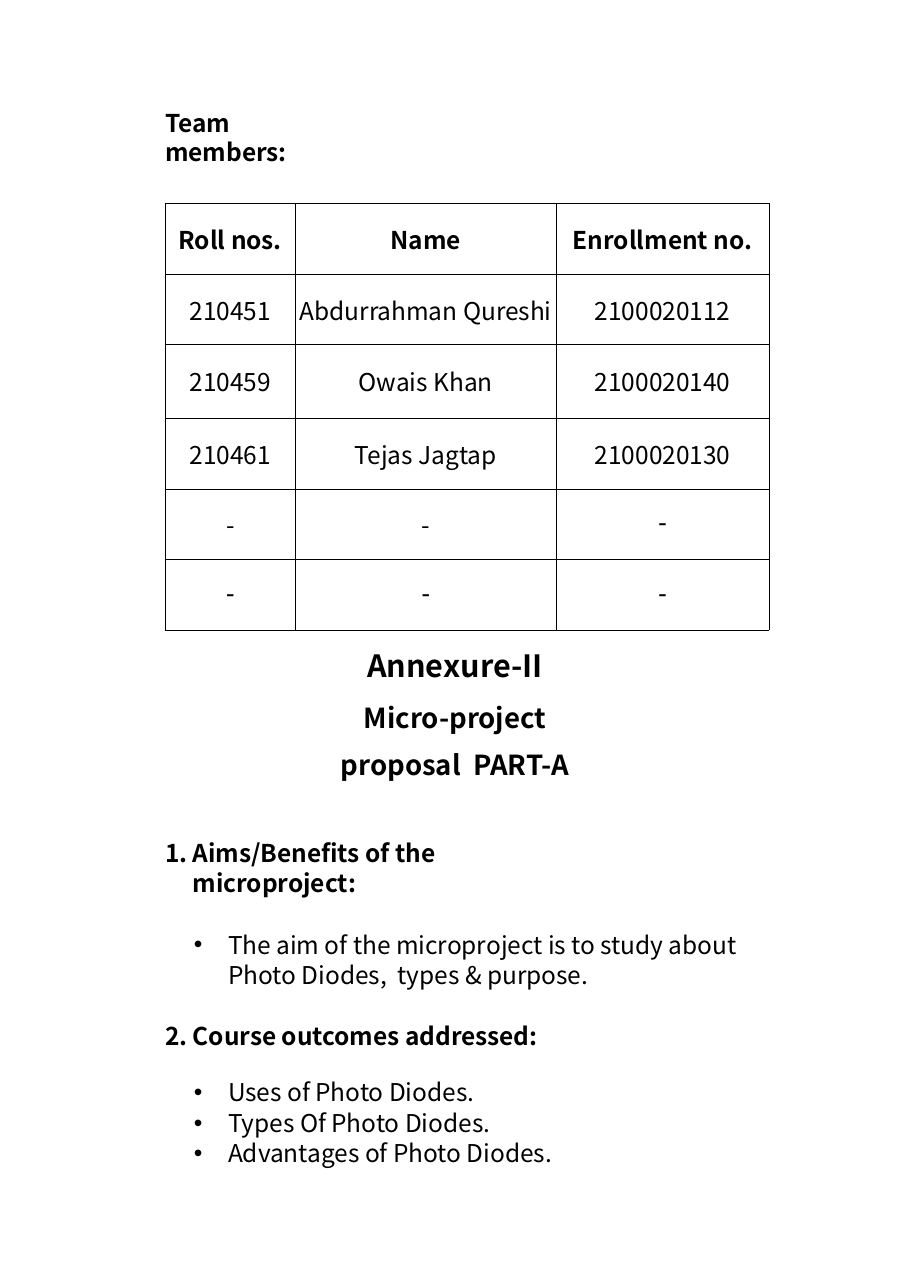
from lxml.etree import SubElement
from pptx import Presentation
from pptx.dml.color import RGBColor
from pptx.enum.text import MSO_ANCHOR, MSO_AUTO_SIZE, PP_ALIGN
from pptx.oxml.ns import qn
from pptx.util import Inches, Pt

FONT = "Noto Sans CJK TC"
BLACK = "000000"
COLUMN_WIDTHS = [1.18, 2.37, 1.93]
ROW_HEIGHTS = [0.64, 0.64, 0.67, 0.64, 0.64, 0.64]
MEMBERS = [
    ["Roll nos.", "Name", "Enrollment no."],
    ["210451", "Abdurrahman Qureshi", "2100020112"],
    ["210459", "Owais Khan", "2100020140"],
    ["210461", "Tejas Jagtap", "2100020130"],
    ["-", "-", "-"],
    ["-", "-", "-"],
]
HEADING = dict(bold=True, left=0.26, hang=0.25, right=1.9)
BULLET = dict(left=0.58, hang=0.31, bullet="•")
PROPOSAL = [
    ("Annexure-II", dict(size=20, bold=True, align=PP_ALIGN.CENTER,
                         right=0.33, before=10.8)),
    ("Micro-project proposal  PART-A",
     dict(size=18, bold=True, align=PP_ALIGN.CENTER, left=1.49, right=1.82,
          line=Pt(30.5), before=2.4)),
    ("Aims/Benefits of the microproject:", dict(HEADING, number=1, before=37.7)),
    ("The aim of the microproject is to study about Photo Diodes,  types & purpose.",
     dict(BULLET, line=1.04, before=20.6)),
    ("Course outcomes addressed:", dict(HEADING, number=2, before=20.6)),
    ("Uses of Photo Diodes.", dict(BULLET, level=1, line=1.03, before=17.1)),
    ("Types Of Photo Diodes.", dict(BULLET, level=1, before=0.8)),
    ("Advantages of Photo Diodes.", dict(BULLET, level=1, before=0.6)),
]


def color(value):
    return RGBColor.from_string(value)


def write(para, text, size=16, bold=False, font=FONT, align=PP_ALIGN.LEFT,
          before=0, line=1.0, level=0):
    para.text = text
    para.level = level
    para.alignment = align
    para.space_before = Pt(before)
    para.space_after = Pt(0)
    para.line_spacing = line
    for span in para.runs:
        span.font.size = Pt(size)
        span.font.bold = bold
        span.font.name = font
        span.font.color.rgb = color(BLACK)


def indent(para, left=0, hang=0, right=0, bullet=None, number=None):
    props = para._p.get_or_add_pPr()
    props.set("marL", str(Inches(left)))
    props.set("marR", str(Inches(right)))
    props.set("indent", str(Inches(-hang)))
    if number:
        SubElement(props, qn("a:buAutoNum"), type="arabicPeriod", startAt=str(number))
    elif bullet:
        SubElement(props, qn("a:buChar"), char=bullet)
    else:
        SubElement(props, qn("a:buNone"))


def place(holder, left, top, width, height, inset):
    holder.left, holder.top = Inches(left), Inches(top)
    holder.width, holder.height = Inches(width), Inches(height)
    frame = holder.text_frame
    frame.margin_left = frame.margin_right = frame.margin_bottom = 0
    frame.margin_top = Inches(inset)
    frame.vertical_anchor = MSO_ANCHOR.TOP
    frame.word_wrap = True
    frame.auto_size = MSO_AUTO_SIZE.SHAPE_TO_FIT_TEXT
    return frame


def add_paragraphs(frame, entries):
    for index, (text, style) in enumerate(entries):
        para = frame.add_paragraph() if index else frame.paragraphs[0]
        layout = {key: style[key] for key in style
                  if key in ("left", "hang", "right", "bullet", "number")}
        write(para, text, **{key: style[key] for key in style if key not in layout})
        indent(para, **layout)


def outline(cell):
    props = cell._tc.get_or_add_tcPr()
    for side in ("lnL", "lnR", "lnT", "lnB"):
        border = SubElement(props, qn(f"a:{side}"), w=str(Pt(0.5)))
        SubElement(SubElement(border, qn("a:solidFill")), qn("a:srgbClr"), val=BLACK)


def add_member_table(slide):
    table = slide.shapes.add_table(
        len(MEMBERS), len(COLUMN_WIDTHS), Inches(1.5), Inches(1.85),
        Inches(sum(COLUMN_WIDTHS)), Inches(sum(ROW_HEIGHTS))).table
    table.first_row = table.horz_banding = False
    for column, width in zip(table.columns, COLUMN_WIDTHS):
        column.width = Inches(width)
    for row, height in zip(table.rows, ROW_HEIGHTS):
        row.height = Inches(height)
    for r, values in enumerate(MEMBERS):
        for c, value in enumerate(values):
            cell = table.cell(r, c)
            cell.margin_left = cell.margin_right = cell.margin_bottom = 0
            cell.margin_top = Inches(0.17 if r == 2 else 0.16)
            # The last dashes are set in another font
            if r == 5 or (r, c) == (4, 2):
                style = dict(size=18, font="Calibri")
            else:
                style = dict(bold=r == 0, before=12.5 if r == 2 else 11.8)
            write(cell.text_frame.paragraphs[0], value, align=PP_ALIGN.CENTER, **style)
            outline(cell)
            cell.fill.background()


def main():
    deck = Presentation()
    deck.slide_width, deck.slide_height = Inches(8.26), Inches(11.69)
    slide = deck.slides.add_slide(deck.slide_layouts[1])

    # Title
    title = place(slide.shapes.title, 1.49, 0.97, 1.46, 0.55, 0.01)
    add_paragraphs(title, [("Team members:", dict(bold=True, left=0.01, before=1))])

    # Team table
    add_member_table(slide)

    # Proposal text
    body = place(slide.placeholders[1], 1.49, 5.72, 5.61, 4.68, 0.15)
    add_paragraphs(body, PROPOSAL)

    deck.save("out.pptx")


if __name__ == "__main__":
    main()
